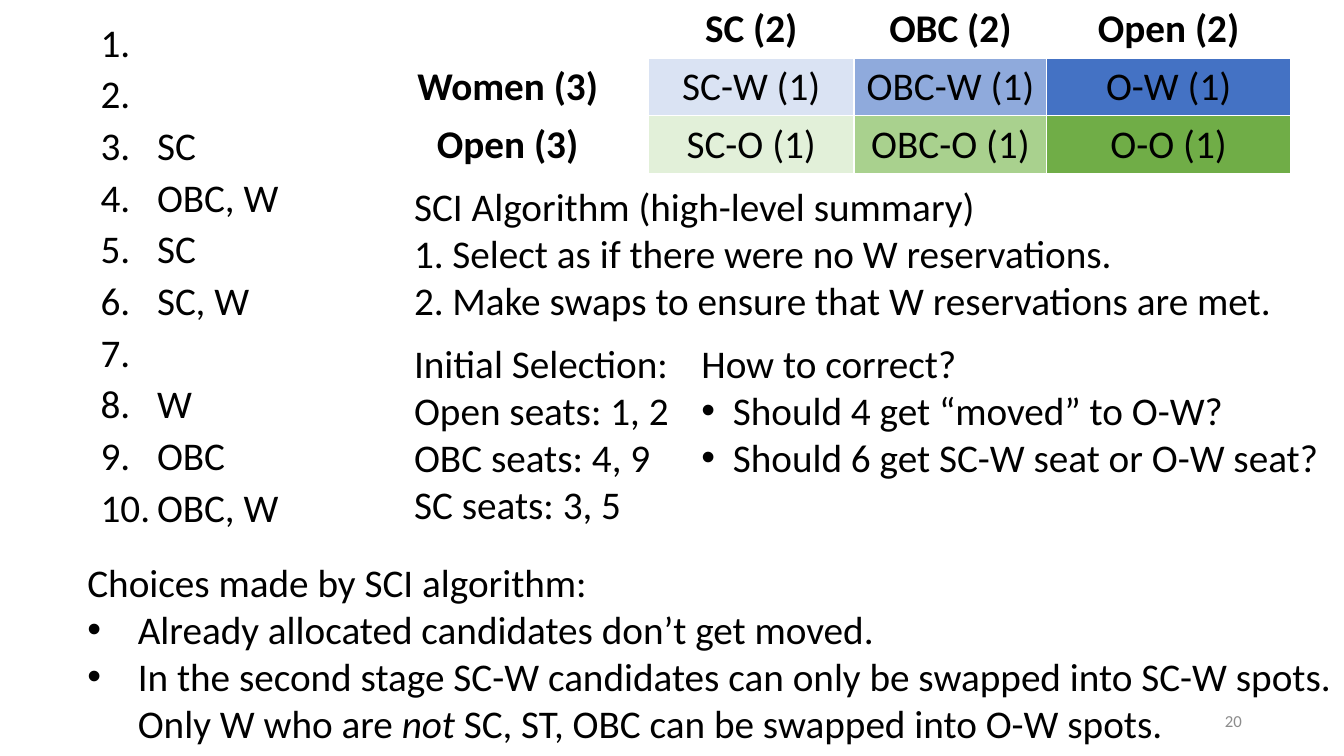
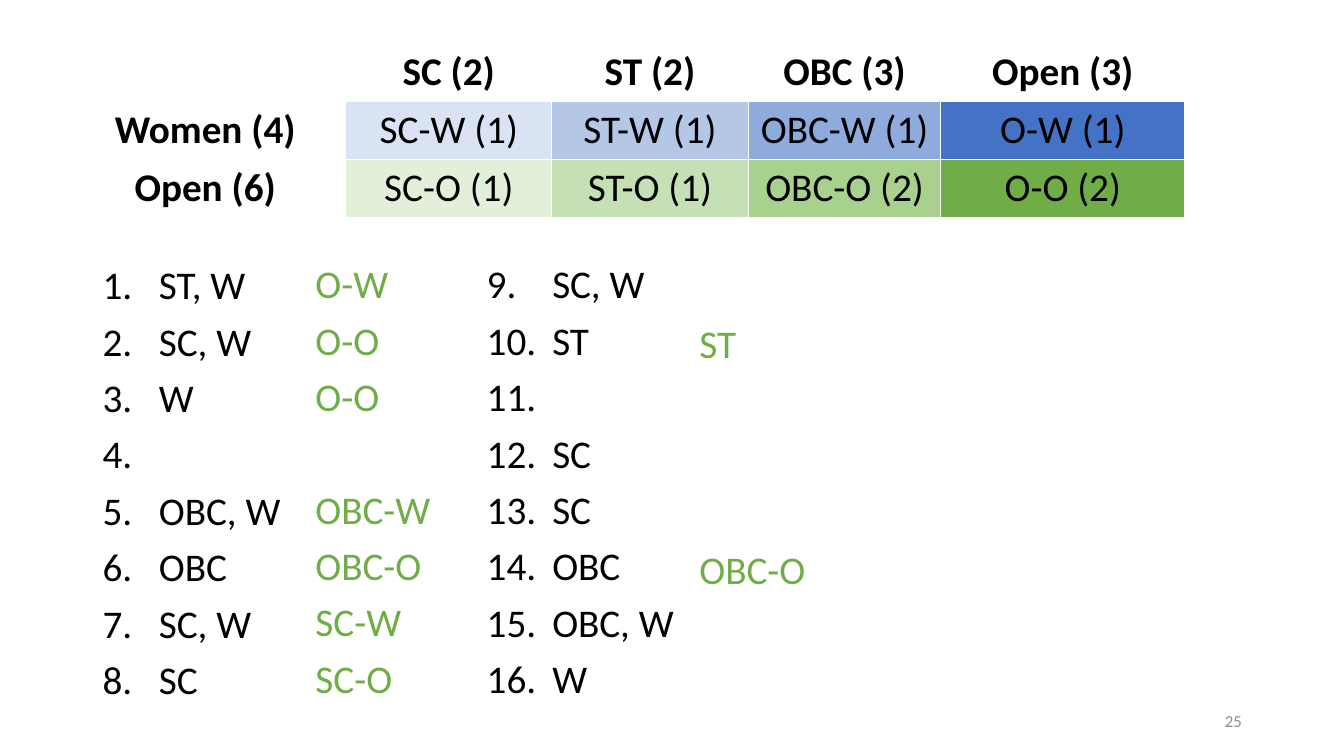
from dataclasses import dataclass

from lxml.etree import SubElement
from pptx import Presentation
from pptx.dml.color import RGBColor
from pptx.enum.text import MSO_ANCHOR, PP_ALIGN
from pptx.oxml.ns import qn
from pptx.util import Pt

BLACK = RGBColor(0x00, 0x00, 0x00)
WHITE = RGBColor(0xFF, 0xFF, 0xFF)
GREY = RGBColor(0x8C, 0x8C, 0x8C)
GREEN = RGBColor(0x70, 0xAD, 0x47)
FONT = "Calibri"
SLIDE_WIDTH = 960
ROW_PITCH = 40.2  # distance between rows of a list at 90 % line spacing
ROW_GAP = 10
LABEL_WIDTH = 201
TABLE_ROW = 41.4


@dataclass
class Category:
    name: str
    prefix: str
    width: float
    women_fill: RGBColor
    open_fill: RGBColor


SC = Category("SC", "SC", 147, RGBColor(0xDA, 0xE3, 0xF3), RGBColor(0xE2, 0xF0, 0xD9))
ST = Category("ST", "ST", 140.4, RGBColor(0xB4, 0xC7, 0xE7), RGBColor(0xC5, 0xE0, 0xB4))
OBC = Category("OBC", "OBC", 137.6, RGBColor(0x8F, 0xAA, 0xDC), RGBColor(0xA9, 0xD1, 0x8E))
OPEN = Category("Open", "O", 174.2, RGBColor(0x44, 0x72, 0xC4), GREEN)


def write_text(paragraph, text, size=28, color=BLACK, bold=False, align=None,
               bullet=None, start=1, hanging=0, before=0, spacing=None):
    """Write text, with *stars* around italics; bullet is "number" or a character."""
    if bullet:
        properties = paragraph._p.get_or_add_pPr()
        properties.set("marL", str(Pt(hanging)))
        properties.set("indent", str(-Pt(hanging)))
        if bullet == "number":
            number = SubElement(properties, qn("a:buAutoNum"), type="arabicPeriod")
            if start > 1:
                number.set("startAt", str(start))
        else:
            SubElement(properties, qn("a:buFont"), typeface="Arial")
            SubElement(properties, qn("a:buChar"), char=bullet)
    paragraph.alignment = align
    paragraph.space_before = Pt(before)
    if spacing:
        paragraph.line_spacing = spacing
    for index, part in enumerate(text.split("*")):
        run = paragraph.add_run()
        run.text = part
        font = run.font
        font.name, font.size, font.bold = FONT, Pt(size), bold
        font.italic = index % 2 == 1
        font.color.rgb = color


class Deck:
    def __init__(self):
        self.presentation = Presentation()
        self.presentation.slide_width = Pt(SLIDE_WIDTH)
        self.presentation.slide_height = Pt(540)
        self.slide = None

    def add_slide(self, number):
        layout = self.presentation.slide_layouts[6]
        self.slide = self.presentation.slides.add_slide(layout)
        frame = self.text_frame(678.2, 500.4, 216, 28.8)
        frame.vertical_anchor = MSO_ANCHOR.MIDDLE
        write_text(frame.paragraphs[0], str(number), size=12, color=GREY,
                   align=PP_ALIGN.RIGHT)

    def text_frame(self, left, top, width, height):
        shape = self.slide.shapes.add_textbox(Pt(left), Pt(top), Pt(width), Pt(height))
        shape.text_frame.word_wrap = True
        return shape.text_frame

    def text_block(self, left, top, width, height, lines, lead=None, **style):
        """Lines in one style, under an optional plain lead line."""
        frame = self.text_frame(left, top, width, height)
        paragraph = frame.paragraphs[0]
        if lead:
            write_text(paragraph, lead)
            paragraph = frame.add_paragraph()
        for index, line in enumerate(lines):
            if index:
                paragraph = frame.add_paragraph()
            write_text(paragraph, line, **style)
        return frame

    def candidates(self, left, top, height, groups, spacing=0.9, start=1, hanging=40.3):
        """Numbered candidates; one without a group keeps its number."""
        frame = self.text_block(left, top, 185, height, [group or " " for group in groups],
                                bullet="number", start=start, hanging=hanging,
                                before=ROW_GAP, spacing=spacing)
        frame.paragraphs[0].space_before = Pt(0)

    def allocations(self, left, top, seats):
        """Seats as (row, name), aligned with the rows of a candidate list."""
        first = previous = seats[0][0]
        frame = self.text_frame(left, top + first * ROW_PITCH, 185,
                                342.7 - first * ROW_PITCH)
        for row, name in seats:
            paragraph = frame.paragraphs[0] if row == first else frame.add_paragraph()
            skipped = row - previous - 1
            before = 0 if row == first else ROW_GAP + skipped * ROW_PITCH
            write_text(paragraph, name, color=GREEN, before=before, spacing=0.9)
            previous = row

    def seat_table(self, left, top, seats):
        """Seats as (category, women count, open count); totals are summed."""
        widths = [LABEL_WIDTH] + [category.width for category, _, _ in seats]
        table = self.slide.shapes.add_table(
            3, len(widths), Pt(left), Pt(top), Pt(sum(widths)), Pt(3 * TABLE_ROW)).table
        table.horz_banding = False
        for column, width in zip(table.columns, widths):
            column.width = Pt(width)
        for row in table.rows:
            row.height = Pt(TABLE_ROW)

        women_total = sum(women for _, women, _ in seats)
        open_total = sum(others for _, _, others in seats)
        labels = ["", f"Women ({women_total})", f"Open ({open_total})"]
        columns = [[(label, WHITE) for label in labels]]
        for category, women, others in seats:
            columns.append([
                (f"{category.name} ({women + others})", WHITE),
                (f"{category.prefix}-W ({women})", category.women_fill),
                (f"{category.prefix}-O ({others})", category.open_fill),
            ])
        for column_index, column in enumerate(columns):
            for row_index, (text, fill) in enumerate(column):
                cell = table.cell(row_index, column_index)
                cell.fill.solid()
                cell.fill.fore_color.rgb = fill
                write_text(cell.text_frame.paragraphs[0], text, bold=fill == WHITE,
                           align=PP_ALIGN.CENTER)


def algorithm_slide(deck):
    deck.add_slide(20)
    deck.candidates(64.8, 15.8, 379.4, [
        "", "", "SC", "OBC, W", "SC", "SC, W", "", "W", "OBC", "OBC, W"], spacing=0.8)
    deck.seat_table(262.1, 0, [(SC, 1, 1), (OBC, 1, 1), (OPEN, 1, 1)])

    # Algorithm and its first result
    deck.text_block(288.7, 126.7, 645, 110, [
        "Select as if there were no W reservations.",
        "Make swaps to ensure that W reservations are met.",
    ], lead="SCI Algorithm (high-level summary)", bullet="number", hanging=27.4)
    deck.text_block(288.7, 239, 204.5, 143.3, [
        "Initial Selection:", "Open seats: 1, 2", "OBC seats: 4, 9", "SC seats: 3, 5"])

    # Questions and choices
    deck.text_block(493.9, 239, 466, 108.7, [
        "Should 4 get “moved” to O-W?",
        "Should 6 get SC-W seat or O-W seat?",
    ], lead="How to correct?", bullet="•", hanging=22.5)
    choices = deck.text_block(55.4, 395.3, SLIDE_WIDTH - 55.4, 144, [
        "Already allocated candidates don’t get moved.",
        "In the second stage SC-W candidates can only be swapped into SC-W spots. "
        "Only W who are *not *SC, ST, OBC can be swapped into O-W spots.",
    ], lead="Choices made by SCI algorithm:", bullet="•", hanging=36)
    choices.margin_right = Pt(0)


def allocation_slide(deck):
    deck.add_slide(25)
    deck.seat_table(46.1, 31, [(SC, 1, 1), (ST, 1, 1), (OBC, 1, 2), (OPEN, 1, 2)])

    # Candidates in order of rank
    deck.candidates(66.2, 186.5, 342.7, [
        "ST, W", "SC, W", "W", "", "OBC, W", "OBC", "SC, W", "SC"])
    deck.candidates(340.6, 185.8, 342.7, [
        "SC, W", "ST", "", "SC", "SC", "OBC", "OBC, W", "W"], start=9, hanging=46.8)

    # Seats they receive
    deck.allocations(218.2, 185.8, [
        (0, "O-W"), (1, "O-O"), (2, "O-O"), (4, "OBC-W"), (5, "OBC-O"),
        (6, "SC-W"), (7, "SC-O")])
    deck.allocations(492.5, 188.5, [(1, "ST"), (5, "OBC-O")])


def main():
    deck = Deck()
    algorithm_slide(deck)
    allocation_slide(deck)
    deck.presentation.save("out.pptx")


if __name__ == "__main__":
    main()
